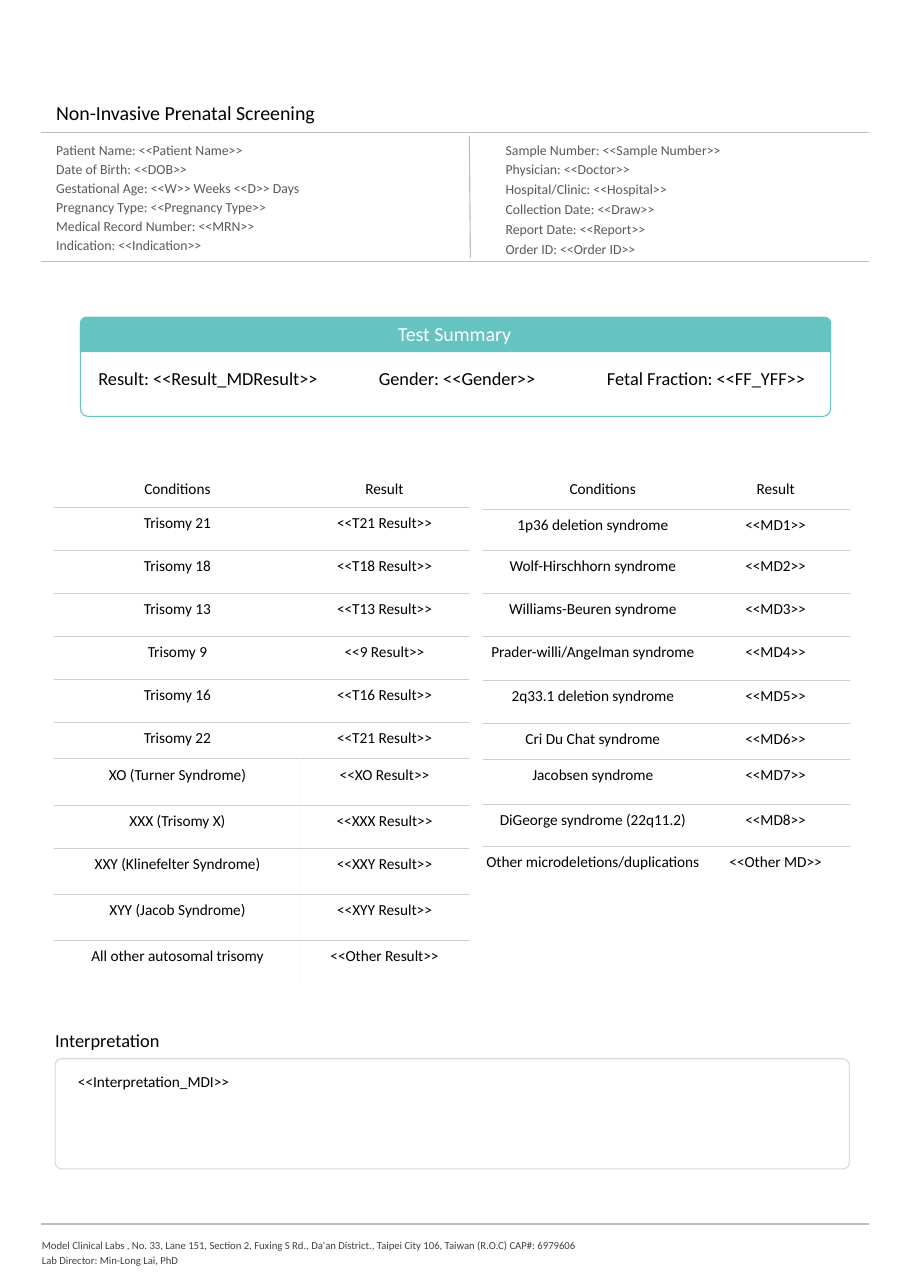
from dataclasses import dataclass

from lxml.etree import SubElement
from pptx import Presentation
from pptx.dml.color import RGBColor as RGB
from pptx.enum.shapes import MSO_CONNECTOR as CONN, MSO_SHAPE as SHAPE
from pptx.enum.text import PP_ALIGN as ALIGN
from pptx.oxml.ns import qn
from pptx.util import Emu, Pt

PX = 9144
PLAIN_STYLE = "{2D5ABB26-0587-4C30-8999-92F81FD0307C}"


@dataclass(frozen=True)
class Theme:
    """Colours, type sizes and the font of the report."""
    font: str = "Calibri"
    ink: str = "000000"
    white: str = "FFFFFF"
    detail: str = "595959"
    footer: str = "414141"
    rule: str = "BDBDBD"
    grid: str = "CECECE"
    divider: str = "F9FAF9"
    frame: str = "D9D9D9"
    teal: str = "65C3C2"
    title: float = 13
    heading: float = 12
    body: float = 10
    small: float = 9
    tiny: float = 7
    stroke: float = 0.75


T = Theme()

PATIENT = [
    "Patient Name: <<Patient Name>>", "Date of Birth: <<DOB>>",
    "Gestational Age: <<W>> Weeks <<D>> Days",
    "Pregnancy Type: <<Pregnancy Type>>",
    "Medical Record Number: <<MRN>>", "Indication: <<Indication>>",
]
ORDER = [
    "Sample Number: <<Sample Number>>", "Physician: <<Doctor>>",
    "Hospital/Clinic: <<Hospital>>", "Collection Date: <<Draw>>",
    "Report Date: <<Report>>", "Order ID: <<Order ID>>",
]
SUMMARY = ["Result: <<Result_MDResult>>", "Gender: <<Gender>>", "Fetal Fraction: <<FF_YFF>>"]
TRISOMIES = [
    ("Conditions", "Result", 37),
    ("Trisomy 21", "<<T21 Result>>", 39),
    ("Trisomy 18", "<<T18 Result>>", 39),
    ("Trisomy 13", "<<T13 Result>>", 39),
    ("Trisomy 9", "<<9 Result>>", 39),
    ("Trisomy 16", "<<T16 Result>>", 39),
    ("Trisomy 22", "<<T21 Result>>", 33),
    ("XO (Turner Syndrome)", "<<XO Result>>", 42),
    ("XXX (Trisomy X)", "<<XXX Result>>", 39),
    ("XXY (Klinefelter Syndrome)", "<<XXY Result>>", 42),
    ("XYY (Jacob Syndrome)", "<<XYY Result>>", 42),
    ("All other autosomal trisomy", "<<Other Result>>", 42),
]
DELETIONS = [
    ("Conditions", "Result", 38),
    ("1p36 deletion syndrome", "<<MD1>>", 38),
    ("Wolf-Hirschhorn syndrome", "<<MD2>>", 39),
    ("Williams-Beuren syndrome", "<<MD3>>", 39),
    ("Prader-willi/Angelman syndrome", "<<MD4>>", 40),
    ("2q33.1 deletion syndrome", "<<MD5>>", 39),
    ("Cri Du Chat syndrome", "<<MD6>>", 32),
    ("Jacobsen syndrome", "<<MD7>>", 41),
    ("DiGeorge syndrome (22q11.2)", "<<MD8>>", 38),
    ("Other microdeletions/duplications", "<<Other MD>>", 56),
]
FOOTER = [
    "Model Clinical Labs , No. 33, Lane 151, Section 2, Fuxing S Rd., Da'an District., "
    "Taipei City 106, Taiwan (R.O.C) CAP#: 6979606",
    "Lab Director: Min-Long Lai, PhD",
]


def emu(*lengths):
    """Turn px lengths into EMU."""
    return [Emu(n * PX) for n in lengths]


def set_margins(target, left, top, right, bottom):
    """Set the insets of a text frame or a cell."""
    (target.margin_left, target.margin_top,
     target.margin_right, target.margin_bottom) = emu(left, top, right, bottom)


def write(tf, lines, size, color, align=ALIGN.LEFT, spacing=None, before=0):
    """Write one paragraph per line into a text frame."""
    for i, line in enumerate(lines):
        p = tf.add_paragraph() if i else tf.paragraphs[0]
        p.alignment = align
        if spacing:
            p.line_spacing = spacing
        if i and before:
            p.space_before = Pt(before)
        r = p.add_run()
        r.text = line
        r.font.name, r.font.size = T.font, Pt(size)
        r.font.color.rgb = RGB.from_string(color)


def add_text(s, box, lines, size, color, pad=(0, 1, 0, 0), **style):
    """Add a wrapping text box."""
    tf = s.shapes.add_textbox(*emu(*box)).text_frame
    tf.word_wrap = True
    set_margins(tf, *pad)
    write(tf, lines, size, color, **style)


def add_rule(s, x1, y1, x2, y2):
    """Add a thin grey line."""
    c = s.shapes.add_connector(CONN.STRAIGHT, *emu(x1, y1, x2, y2))
    c.line.color.rgb, c.line.width = RGB.from_string(T.rule), Pt(T.stroke)
    SubElement(c._element.spPr, qn("a:effectLst"))


def add_panel(s, kind, box, radii, line, fill=None):
    """Add a rounded panel, hollow unless a fill is given."""
    sp = s.shapes.add_shape(kind, *emu(*box))
    sp.shadow.inherit = False
    for i, radius in enumerate(radii):
        sp.adjustments[i] = radius
    sp.line.color.rgb, sp.line.width = RGB.from_string(line), Pt(T.stroke)
    if fill:
        sp.fill.solid()
        sp.fill.fore_color.rgb = RGB.from_string(fill)
    else:
        sp.fill.background()


def add_grid(s, x, y, widths, heights):
    """Add an unstyled table with the given column widths and row heights."""
    frame = s.shapes.add_table(len(heights), len(widths),
                               *emu(x, y, sum(widths), sum(heights)))
    table = frame.table
    table.first_row = table.horz_banding = False
    table._tbl.tblPr.find(qn("a:tableStyleId")).text = PLAIN_STYLE
    for column, width in zip(table.columns, emu(*widths)):
        column.width = width
    for row, height in zip(table.rows, emu(*heights)):
        row.height = height
    return table


def set_borders(cell, left, right, top, bottom):
    """Colour the four borders of a cell."""
    tc_pr = cell._tc.get_or_add_tcPr()
    for side, color in zip("LRTB", (left, right, top, bottom)):
        ln = SubElement(tc_pr, qn(f"a:ln{side}"), w=str(Pt(T.stroke)))
        SubElement(SubElement(ln, qn("a:solidFill")), qn("a:srgbClr"), val=color)


def add_conditions(s, x, y, widths, rows, head_inset=0, divider_from=None):
    """Add a table of conditions and results."""
    table = add_grid(s, x, y, widths, [height for *_, height in rows])
    last = len(rows) - 1
    for i, (*texts, _) in enumerate(rows):
        inner = T.divider if divider_from and i >= divider_from else T.white
        top = T.grid if i else T.white
        bottom = T.grid if i < last else T.white
        for j, text in enumerate(texts):
            cell = table.cell(i, j)
            inset = head_inset if i == j == 0 else 0
            set_margins(cell, inset, 6 if i else 12, 0, 0)
            sides = (inner, T.white) if j else (T.white, inner)
            set_borders(cell, *sides, top, bottom)
            cell.fill.solid()
            cell.fill.fore_color.rgb = RGB.from_string(T.white)
            write(cell.text_frame, [text], T.body, T.ink, ALIGN.CENTER)


def add_header(s, x, y, w, h):
    """Place the title and the two columns of patient details."""
    add_text(s, (x + 13, y - 31, 374, 23), ["Non-Invasive Prenatal Screening"],
             T.title, T.ink, pad=(1, 2, 0, 0))
    for left, lines, before in ((x + 13, PATIENT, 0), (x + 421, ORDER, 0.5)):
        add_text(s, (left, y + 5, 313, 105), lines, T.small, T.detail,
                 pad=(1, 1, 0, 0), spacing=1.15, before=before)
    for level in (y, y + h):
        add_rule(s, x, level, x + w, level)
    add_rule(s, x + 389, y + 3, x + 390, y + h - 3)


def add_summary(s, x, y, w, h):
    """Place the framed test summary with its coloured heading."""
    add_panel(s, SHAPE.ROUNDED_RECTANGLE, (x, y + 2, w, h - 2), [0.08], T.teal)
    add_panel(s, SHAPE.ROUND_2_SAME_RECTANGLE, (x, y, w, 31), [0.17, 0], T.teal, T.teal)
    add_text(s, (x + 176, y - 6, 327, 42), ["Test Summary"], T.title, T.white,
             pad=(10, 10, 10, 10), align=ALIGN.CENTER)
    table = add_grid(s, x + 3, y + 41, [226] * len(SUMMARY), [32])
    for cell, text in zip(table.rows[0].cells, SUMMARY):
        write(cell.text_frame, [text], T.heading, T.ink, ALIGN.CENTER)


def add_interpretation(s, x, y, w, h):
    """Place the interpretation heading and its framed text."""
    add_text(s, (x, y - 29, 128, 22), ["Interpretation"], T.heading, T.ink, pad=(0, 2, 0, 0))
    add_text(s, (x + 11, y + 4, w - 25, 37), ["<<Interpretation_MDI>>"],
             T.body, T.ink, pad=(10, 10, 10, 10))
    add_panel(s, SHAPE.ROUNDED_RECTANGLE, (x, y, w, h), [0.06], T.frame)


def add_footer(s, x, y, w, h):
    """Place the closing rule and the laboratory address."""
    add_rule(s, x, y, x + w, y)
    add_text(s, (x, y + 10, 597, h - 10), FOOTER, T.tiny, T.footer,
             pad=(1, 1, 0, 0), spacing=1.19)


def main():
    """Build the report and save it."""
    prs = Presentation()
    prs.slide_width, prs.slide_height = emu(826, 1169)
    s = prs.slides.add_slide(prs.slide_layouts[6])
    add_header(s, 37, 120, 752, 117)
    add_summary(s, 73, 288, 681, 90)
    add_conditions(s, 49, 424, [224, 152], TRISOMIES, divider_from=7)
    add_conditions(s, 439, 424, [198, 134], DELETIONS, head_inset=18)
    add_interpretation(s, 50, 961, 721, 100)
    add_footer(s, 37, 1111, 752, 56)
    prs.save("out.pptx")


if __name__ == "__main__":
    main()
